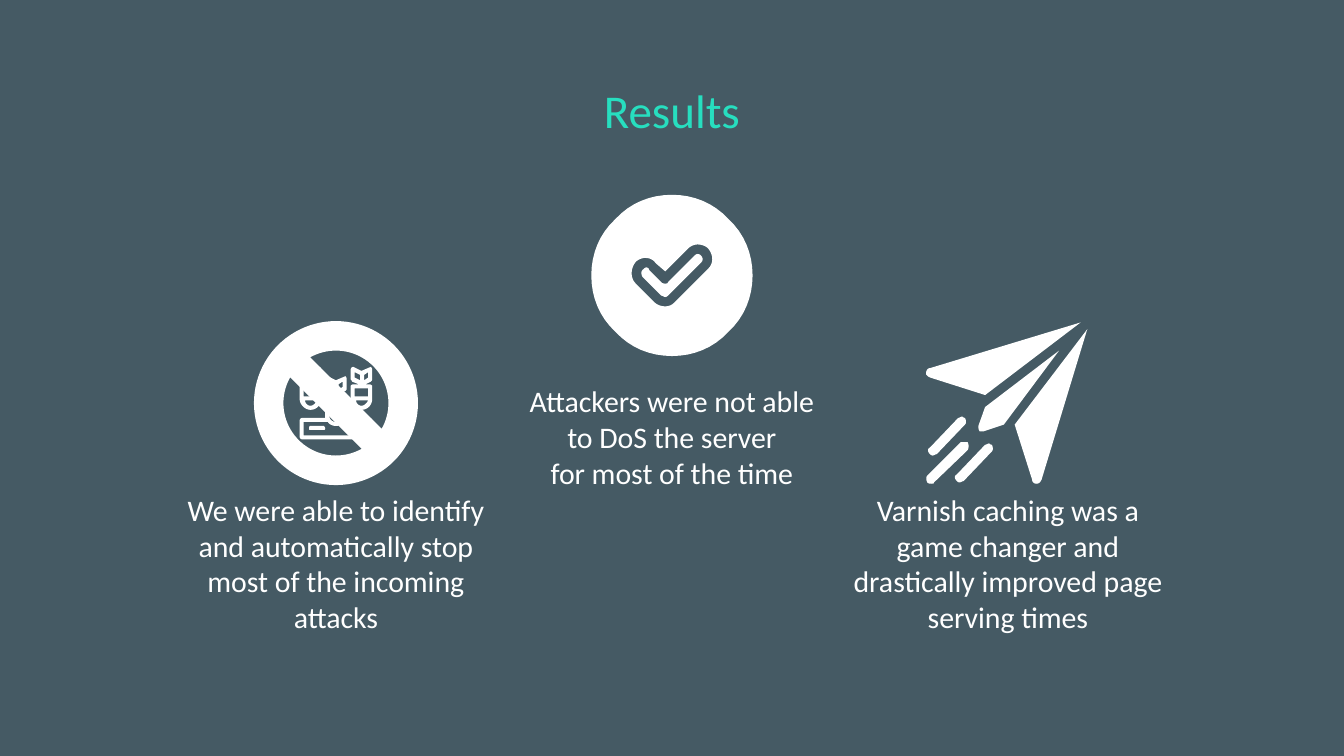
from pptx import Presentation
from pptx import util as u
from pptx.dml.color import RGBColor
from pptx.enum import shapes, text

COLORS = {"background": "455A64", "title": "27DEBF", "white": "FFFFFF"}
FONT = "Calibri"
CURVE_STEPS = 8

# Icon outlines on a grid of 1/100 inch: M move, L line, C curve, Z close
GRID = u.Cm(2.54) / 100

CHECK_DISC = """M 519 182 C 522 182 525 183 527 185 C 531 190 531 196 527 200
    L 502 225 C 500 227 498 228 495 228 C 492 228 489 227 487 225 L 473 211
    C 469 207 469 200 473 195 C 475 193 478 192 480 192 C 483 192 486 193 488 196
    L 495 202 L 512 185 C 514 183 517 182 519 182 Z
    M 500 145 C 484 145 469 151 458 163 C 446 174 440 189 440 205
    C 440 221 446 236 458 247 C 469 259 484 265 500 265
    C 516 265 531 259 542 247 C 554 236 560 221 560 205
    C 560 189 554 174 542 163 C 531 151 516 145 500 145 Z"""
CHECK_MARK = """M 519 189 C 518 189 517 190 517 190 L 497 210 C 497 211 496 211 495 211
    C 494 211 493 211 492 210 L 483 201 C 483 200 482 199 481 199
    C 480 199 479 200 478 201 C 477 202 477 204 478 206 L 492 220
    C 493 220 494 221 495 221 C 496 221 497 220 497 220 L 522 195
    C 524 193 522 189 519 189 Z"""

BOMB_FINS = """M 226 277 L 230 279 L 230 283 L 226 281 Z
    M 236 277 L 236 281 L 233 283 L 233 279 Z
    M 225 273 C 224 273 223 274 223 275 L 223 282 C 223 283 224 283 224 284
    L 229 286 L 234 286 L 238 284 C 239 283 239 283 239 282 L 239 275
    C 239 274 238 273 238 273 L 231 276 Z"""
BOMB_BODY = """M 236 289 L 236 295 L 226 295 L 226 289 Z
    M 236 298 C 235 300 233 302 231 302 C 229 302 227 300 227 298 Z
    M 225 286 C 224 286 223 287 223 287 L 223 297 C 223 301 227 305 231 305
    C 236 305 239 301 239 297 L 239 287 C 239 287 238 286 237 286 Z"""
HIT_SERVER = """M 255 295 L 255 305 L 245 305 L 245 295 Z
    M 255 308 L 255 309 C 255 312 253 314 250 314 C 247 314 245 312 245 309 L 245 308 Z
    M 274 314 L 274 324 L 226 324 L 226 314 L 244 314 C 245 316 248 317 250 317
    C 252 317 255 316 256 314 Z
    M 244 292 C 243 292 242 293 242 294 L 242 311 L 225 311
    C 224 311 223 312 223 313 L 223 325 C 223 326 224 327 225 327 L 275 327
    C 276 327 277 326 277 325 L 277 313 C 277 312 276 311 275 311 L 258 311
    L 258 294 C 258 293 257 292 256 292 Z"""
SERVER_SLOT = """M 231 317 C 230 317 230 318 230 319 C 230 320 230 320 231 320
    L 241 320 C 241 320 242 320 242 319 C 242 318 241 317 241 317 Z"""

LEFT_WING = """M 804 240 L 692 274 C 690 274 689 276 689 278
    C 689 279 690 280 692 281 L 733 294 Z"""
KEEL = """M 788 261 L 733 303 L 728 317 C 728 318 728 320 729 321
    C 729 321 730 321 732 321 L 747 316 Z"""
RIGHT_WING = """M 809 245 L 755 316 L 768 357 C 768 359 770 360 771 360
    C 773 360 774 359 775 357 Z"""
SHORT_TRAIL = """M 716 310 C 715 310 714 311 713 311 L 692 333 C 690 334 690 336 692 338
    C 692 338 693 339 694 339 C 695 339 696 338 697 338 L 718 316
    C 719 315 719 313 718 311 C 717 311 716 310 716 310 Z"""
LONG_TRAIL = """M 718 329 C 717 329 716 329 715 329 L 690 354 C 689 355 689 357 690 359
    C 691 360 692 360 693 360 C 694 360 695 360 695 359 L 720 335
    C 721 333 721 331 720 329 C 719 329 719 329 718 329 Z"""


def rgb(name):
    return RGBColor.from_string(COLORS[name])


def curve_points(start, first, second, end):
    """Points along a cubic curve, without its start."""
    points = []
    for step in range(1, CURVE_STEPS + 1):
        t = step / CURVE_STEPS
        weights = ((1 - t) ** 3, 3 * t * (1 - t) ** 2, 3 * t * t * (1 - t), t ** 3)
        corners = (start, first, second, end)
        points.append(tuple(sum(w * c[axis] for w, c in zip(weights, corners))
                            for axis in (0, 1)))
    return points


def contours(outline, shift):
    """Turn an outline into lists of slide points, one for each closed contour."""
    tokens = iter(outline.split())

    def point():
        return tuple((int(next(tokens)) + move) * GRID for move in shift)

    found = []
    for command in tokens:
        if command == "M":
            found.append([point()])
        elif command == "L":
            found[-1].append(point())
        elif command == "C":
            found[-1] += curve_points(found[-1][-1], point(), point(), point())
    return found


def paint_white(shape):
    shape.shadow.inherit = False
    shape.fill.solid()
    shape.fill.fore_color.rgb = rgb("white")
    shape.line.fill.background()


def add_outline(icon, outline, shift=(0, 0)):
    first, *others = contours(outline, shift)
    builder = icon.shapes.build_freeform(*first[0])
    builder.add_line_segments(first[1:], close=True)
    for contour in others:
        builder.move_to(*contour[0])
        builder.add_line_segments(contour[1:], close=True)
    paint_white(builder.convert_to_shape())


def add_text(slide, box, lines, size, color, anchor):
    frame = slide.shapes.add_textbox(*map(u.Cm, box)).text_frame
    frame.word_wrap = True
    frame.vertical_anchor = anchor
    frame.margin_left = frame.margin_right = u.Cm(0.25)
    frame.margin_top = frame.margin_bottom = u.Cm(0.25)
    frame.text = "\n".join(lines)
    for paragraph in frame.paragraphs:
        paragraph.alignment = text.PP_ALIGN.CENTER
        for run in paragraph.runs:
            run.font.name = FONT
            run.font.size = u.Pt(size)
            run.font.color.rgb = rgb(color)


def add_result(slide, center, top, lines):
    width, height = 6.73, 3.05
    add_text(slide, (center - width / 2, top, width, height), lines, 16,
             "white", text.MSO_ANCHOR.MIDDLE)


def add_check_icon(slide):
    icon = slide.shapes.add_group_shape()
    for outline in (CHECK_DISC, CHECK_MARK):
        add_outline(icon, outline)


def add_blocked_attack_icon(slide):
    attack = slide.shapes.add_group_shape()
    for across in (0, 38):
        add_outline(attack, BOMB_FINS + " " + BOMB_BODY, (across, 0))
    add_outline(attack, BOMB_FINS, (19, 7))
    for outline in (HIT_SERVER, SERVER_SLOT):
        add_outline(attack, outline)
    # Prohibition sign over the attack
    sign = slide.shapes.add_shape(shapes.MSO_SHAPE.NO_SYMBOL, u.Cm(4.8), u.Cm(6.07),
                                  u.Cm(3.1), u.Cm(3.1))
    sign.adjustments[0] = 0.18
    paint_white(sign)


def add_paper_plane_icon(slide):
    plane = slide.shapes.add_group_shape()
    for outline in (LEFT_WING, KEEL, RIGHT_WING, SHORT_TRAIL, LONG_TRAIL):
        add_outline(plane, outline)
    add_outline(plane, SHORT_TRAIL, (20, 20))


def main():
    deck = Presentation()
    deck.slide_width, deck.slide_height = u.Cm(25.4), u.Cm(14.29)
    slide = deck.slides.add_slide(deck.slide_layouts[6])
    slide.background.fill.solid()
    slide.background.fill.fore_color.rgb = rgb("background")

    # Title
    add_text(slide, (1.98, 1.3, 21.44, 1.57), ["Results"], 25.2, "title",
             text.MSO_ANCHOR.TOP)

    # Server stayed up
    add_check_icon(slide)
    add_result(slide, 12.7, 6.73, ["Attackers were not able", "to DoS the server",
                                   "for most of the time"])

    # Attacks stopped
    add_result(slide, 6.35, 9.12, ["We were able to identify and automatically stop "
                                   "most of the incoming attacks"])
    add_blocked_attack_icon(slide)

    # Faster pages
    add_result(slide, 19.05, 9.12, ["Varnish caching was a game changer and "
                                    "drastically improved page serving times"])
    add_paper_plane_icon(slide)

    deck.save("out.pptx")


if __name__ == "__main__":
    main()
